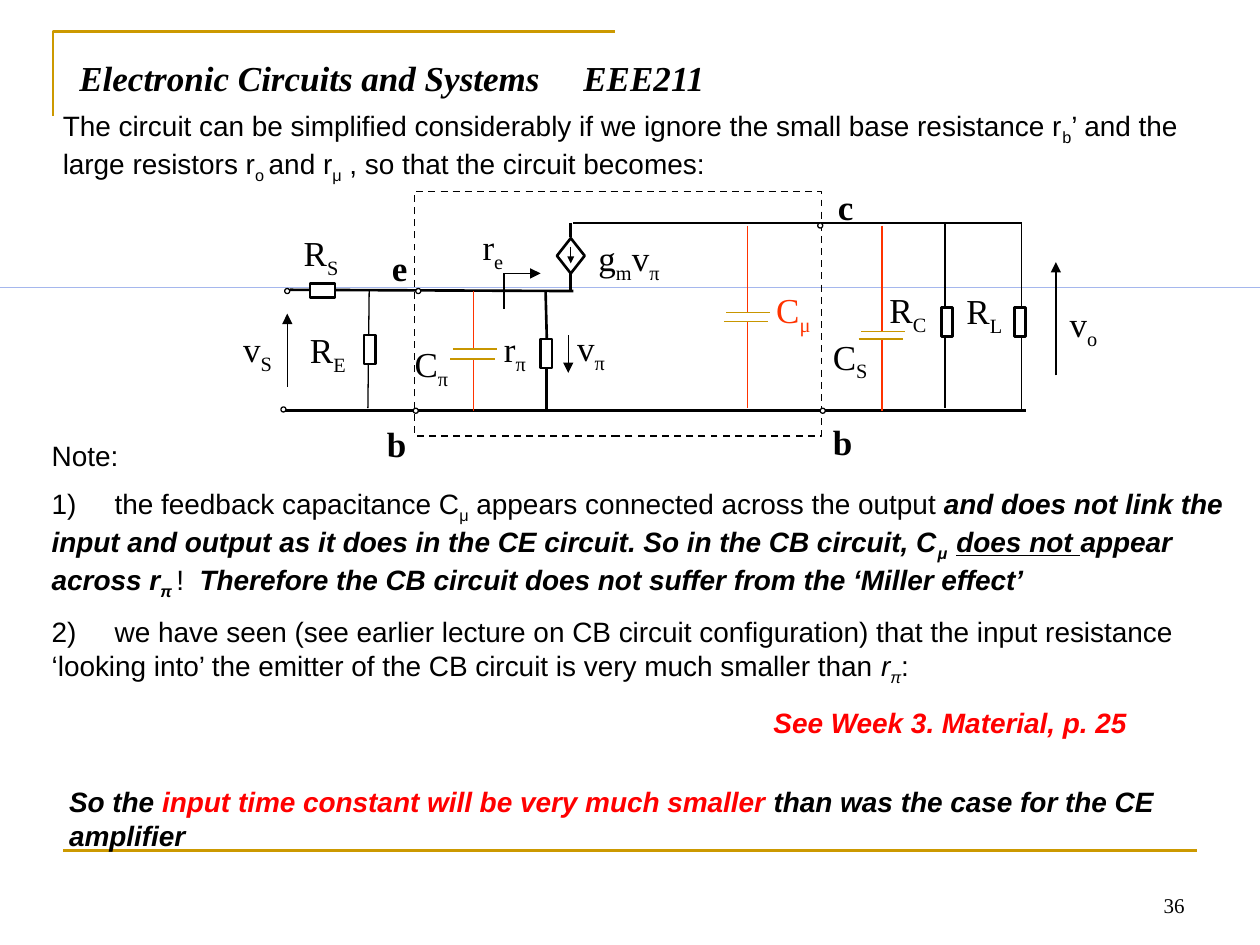
import pptx
import pptx.util
import pptx.dml.color
import pptx.enum.dml
import pptx.enum.shapes
import pptx.enum.text
import pptx.oxml
import pptx.oxml.ns

Inches, Pt = pptx.util.Inches, pptx.util.Pt
SHAPE = pptx.enum.shapes.MSO_SHAPE
ANCHOR = pptx.enum.text.MSO_ANCHOR
ALIGN = pptx.enum.text.PP_ALIGN

THEME = {
    "black": "000000", "white": "FFFFFF", "gold": "CC9900", "plate": "C89600",
    "orange": "FF3300", "red": "FF0000", "blue": "0033CC",
    "sans": "Arial", "serif": "Times New Roman",
    "title": 20, "label": 20, "body": 16, "number": 12,
    "thin": 0.75, "dash": 1, "thick": 1.5,
}

# Text runs: (text, marks); b bold, i italic, u underline, s subscript, r red
TITLE = [[("Electronic Circuits and Systems\tEEE211", "bi")]]
INTRO = [[
    ("The circuit can be simplified considerably if we ignore the small base resistance r", ""),
    ("b", "s"), ("’ and the large resistors r", ""), ("o ", "s"), ("and r", ""), ("μ", "s"),
    (" , so that the circuit becomes:", ""),
]]
NOTES = [
    [("Note:", "")],
    [("1)\tthe feedback capacitance C", ""), ("μ", "s"),
     (" appears connected across the output ", ""),
     ("and does not link the input and output as it does in the CE circuit. "
      "So in the CB circuit, C", "bi"),
     ("μ  ", "bis"), ("does not ", "biu"), ("appear across r", "bi"), ("π ", "bis"), ("!  ", ""),
     ("Therefore the CB circuit does not suffer from the ‘Miller effect’", "bi")],
    [("2)\twe have seen (see earlier lecture on CB circuit configuration) that the input "
      "resistance ‘looking into’ the emitter of the CB circuit is very much smaller than ", ""),
     ("r", "i"), ("π", "is"), (":", "")],
]
REFERENCE = [[("See Week 3. Material, p. 25", "bir")]]
CONCLUSION = [[
    ("So the ", "bi"), ("input time constant will be very much smaller ", "bir"),
    ("than was the case for the CE amplifier", "bi"),
]]

# Circuit: rails and leads (x1, y1, x2, y2)
TOP, MIDDLE, BOTTOM = 1.77, 2.31, 3.26
THICK_WIRES = [
    (2.3, 2.3, 4.55, MIDDLE), (4.55, TOP, 8.11, TOP), (2.25, BOTTOM, 8.14, BOTTOM),
    (4.53, TOP, 4.53, 1.88), (4.53, 2.17, 4.53, MIDDLE),
    (4.33, MIDDLE, 4.34, 2.69), (4.34, 2.92, 4.34, BOTTOM),
]
THIN_WIRES = [
    (2.93, MIDDLE, 2.92, 3.24), (7.5, TOP, 7.5, 3.24), (8.11, TOP, 8.11, 3.25),
    (4, 2.17, 4, 2.45),
]
ARROWS = [
    (4.51, 2.66, 4.51, 2.96), (2.28, 3.07, 2.28, 2.49),
    (8.38, 2.98, 8.38, 2.08), (4, 2.17, 4.29, 2.17),
]
SOURCE_ARROW = (4.53, 1.96, 4.53, 2.09)
# Capacitors: x, top of lead, upper plate, lower plate, bottom of lead
CAPACITORS = [
    (3.76, MIDDLE, 2.77, 2.85, BOTTOM), (5.93, 1.79, 2.48, 2.55, 3.24),
    (7, 1.79, 2.63, 2.69, BOTTOM),
]
PLATE_WIDTH = 0.35
UPRIGHT = (0.09, 0.23)
RESISTORS = [(2.46, 2.25, 0.2, 0.11)] + [
    (*corner, *UPRIGHT) for corner in [(2.89, 2.66), (4.29, 2.69), (7.47, 2.44), (8.05, 2.44)]
]
TERMINALS = [(2.23, 3.23), (2.26, 2.29), (6.49, 1.77), (6.51, 3.24), (3.28, 3.24), (3.3, 2.29)]
# Labels: left, top, colour, runs
LABELS = [
    (4, 2.6, "black", [("r", ""), ("π", "s")]),
    (4.75, 1.88, "black", [("g", ""), ("m", "s"), ("v", ""), ("π", "s")]),
    (3.07, 3.35, "black", [("b", "b")]),
    (3.11, 1.96, "black", [("e", "b")]),
    (4.58, 2.59, "black", [("v", ""), ("π", "s")]),
    (1.93, 2.6, "black", [("v", ""), ("S", "s")]),
    (6.65, 1.47, "black", [("c", "b")]),
    (3.29, 2.72, "black", [("C", ""), ("π", "s")]),
    (6.16, 2.29, "orange", [("C", ""), ("μ", "s")]),
    (6.61, 3.34, "black", [("b", "b")]),
    (8.49, 2.4, "black", [("v", ""), ("o", "s")]),
    (2.46, 2.61, "black", [("R", ""), ("E", "s")]),
    (2.41, 1.84, "black", [("R", ""), ("S", "s")]),
    (7.06, 2.29, "black", [("R", ""), ("C", "s")]),
    (7.67, 2.3, "black", [("R", ""), ("L", "s")]),
    (6.61, 2.66, "black", [("C", ""), ("S", "s")]),
    (3.83, 1.79, "black", [("r", ""), ("e", "s")]),
]

presentation = pptx.Presentation()
presentation.slide_width, presentation.slide_height = Inches(10), Inches(7.5)
slide = presentation.slides.add_slide(presentation.slide_layouts[1])


def color(name):
    return pptx.dml.color.RGBColor.from_string(THEME[name])


def add_xml(parent, tag, **attributes):
    element = pptx.oxml.ns.qn(tag)
    child = parent.makeelement(element, attributes)
    parent.append(child)
    return child


def write(shape, paragraphs, font="sans", size="body", ink="black", align=ALIGN.LEFT,
          anchor=ANCHOR.TOP, inset=None, tab=None):
    frame = shape.text_frame
    frame.word_wrap = True
    frame.auto_size = pptx.enum.text.MSO_AUTO_SIZE.NONE
    frame.vertical_anchor = anchor
    if inset is not None:
        frame.margin_left = frame.margin_right = Inches(inset)
        frame.margin_top = frame.margin_bottom = Inches(inset)
    for index, runs in enumerate(paragraphs):
        paragraph = frame.add_paragraph() if index else frame.paragraphs[0]
        properties = paragraph._p.get_or_add_pPr()
        properties.set("marL", "0")
        properties.set("indent", "0")
        add_xml(properties, "a:buNone")
        if tab:
            add_xml(add_xml(properties, "a:tabLst"), "a:tab", pos=str(Inches(tab)), algn="l")
        paragraph.alignment = align
        paragraph.space_before = Pt(8 if index else 0)
        for text, marks in runs:
            run = paragraph.add_run()
            run.text = text
            run.font.name, run.font.size = THEME[font], Pt(THEME[size])
            run.font.bold, run.font.italic = "b" in marks, "i" in marks
            run.font.underline = "u" in marks
            run.font.color.rgb = color("red" if "r" in marks else ink)
            if "s" in marks:
                run.font._element.set("baseline", "-25000")


def add_text(box, paragraphs, **style):
    write(slide.shapes.add_textbox(*map(Inches, box)), paragraphs, **style)


def fill_placeholder(shape, box, paragraphs, **style):
    shape.left, shape.top, shape.width, shape.height = map(Inches, box)
    write(shape, paragraphs, **style)


def add_line(points, ink="black", weight="thin", arrow=None):
    line = slide.shapes.add_connector(
        pptx.enum.shapes.MSO_CONNECTOR.STRAIGHT, *map(Inches, points))
    line.line.color.rgb, line.line.width = color(ink), Pt(THEME[weight])
    if arrow:
        add_xml(line.line._get_or_add_ln(), "a:tailEnd", type="triangle", w=arrow, len=arrow)
    add_xml(line._element.spPr, "a:effectLst")


def style_shape(shape, fill=None, ink=None, weight="thin"):
    shape.shadow.inherit = False
    if fill:
        shape.fill.solid()
        shape.fill.fore_color.rgb = color(fill)
    else:
        shape.fill.background()
    if ink:
        shape.line.color.rgb, shape.line.width = color(ink), Pt(THEME[weight])
    else:
        shape.line.fill.background()
    return shape


def add_shape(kind, box, **style):
    return style_shape(slide.shapes.add_shape(kind, *map(Inches, box)), **style)


# Slide frame
corner = slide.shapes.build_freeform(Inches(0.42), Inches(0.92))
corner.add_line_segments(
    [(Inches(0.42), Inches(0.25)), (Inches(4.88), Inches(0.25))], close=False)
style_shape(corner.convert_to_shape(), ink="gold", weight="thick")
add_line((0.5, 6.75, 9.5, 6.75), "gold", "thick")
add_shape(SHAPE.RECTANGLE, (0, 2.28, 10, 0), fill="blue")

# Title and text
fill_placeholder(slide.shapes.title, (0.53, 0.4, 8.92, 0.61), TITLE,
                 font="serif", size="title", tab=7)
fill_placeholder(slide.placeholders[1], (0.31, 3.43, 9.69, 1.99), NOTES, tab=1)
add_text((0.4, 0.81, 9.27, 0.64), INTRO)
add_text((0.45, 6.18, 9.14, 0.64), CONCLUSION)
add_text((6.04, 5.55, 3.55, 0.37), REFERENCE)
add_text((7.17, 6.83, 2.33, 0.5), [[("36", "")]], font="serif", size="number",
         align=ALIGN.RIGHT, anchor=ANCHOR.BOTTOM)

# Circuit wires and arrows
for wire in THICK_WIRES:
    add_line(wire, weight="thick")
for wire in THIN_WIRES:
    add_line(wire)
for arrow in ARROWS:
    add_line(arrow, arrow="med")

# Capacitors: two leads and two plates each
for x, top, upper, lower, bottom in CAPACITORS:
    for start, end in [(top, upper), (lower, bottom)]:
        add_line((x, start, x, end), "orange")
    for shift, y in [(0.01, upper), (-0.01, lower)]:
        left = x + shift - PLATE_WIDTH / 2
        add_line((left, y, left + PLATE_WIDTH, y), "plate")

# Components and terminals
dashed = add_shape(SHAPE.RECTANGLE, (3.29, 1.52, 3.23, 1.94), ink="black", weight="dash")
dashed.line.dash_style = pptx.enum.dml.MSO_LINE.DASH
add_shape(SHAPE.DIAMOND, (4.42, 1.89, 0.22, 0.28), fill="white", ink="black", weight="thick")
add_line(SOURCE_ARROW, arrow="sm")
for box in RESISTORS:
    add_shape(SHAPE.RECTANGLE, box, fill="white", ink="black", weight="thick")
for left, top in TERMINALS:
    add_shape(SHAPE.OVAL, (left, top, 0.04, 0.04), fill="white", ink="black")

# Circuit labels
for left, top, ink, runs in LABELS:
    width = 0.2 if len(runs) == 1 else 0.25 * len(runs)
    add_text((left, top, width, 0.31), [runs], font="serif", size="label", ink=ink, inset=0)

presentation.save("out.pptx")
